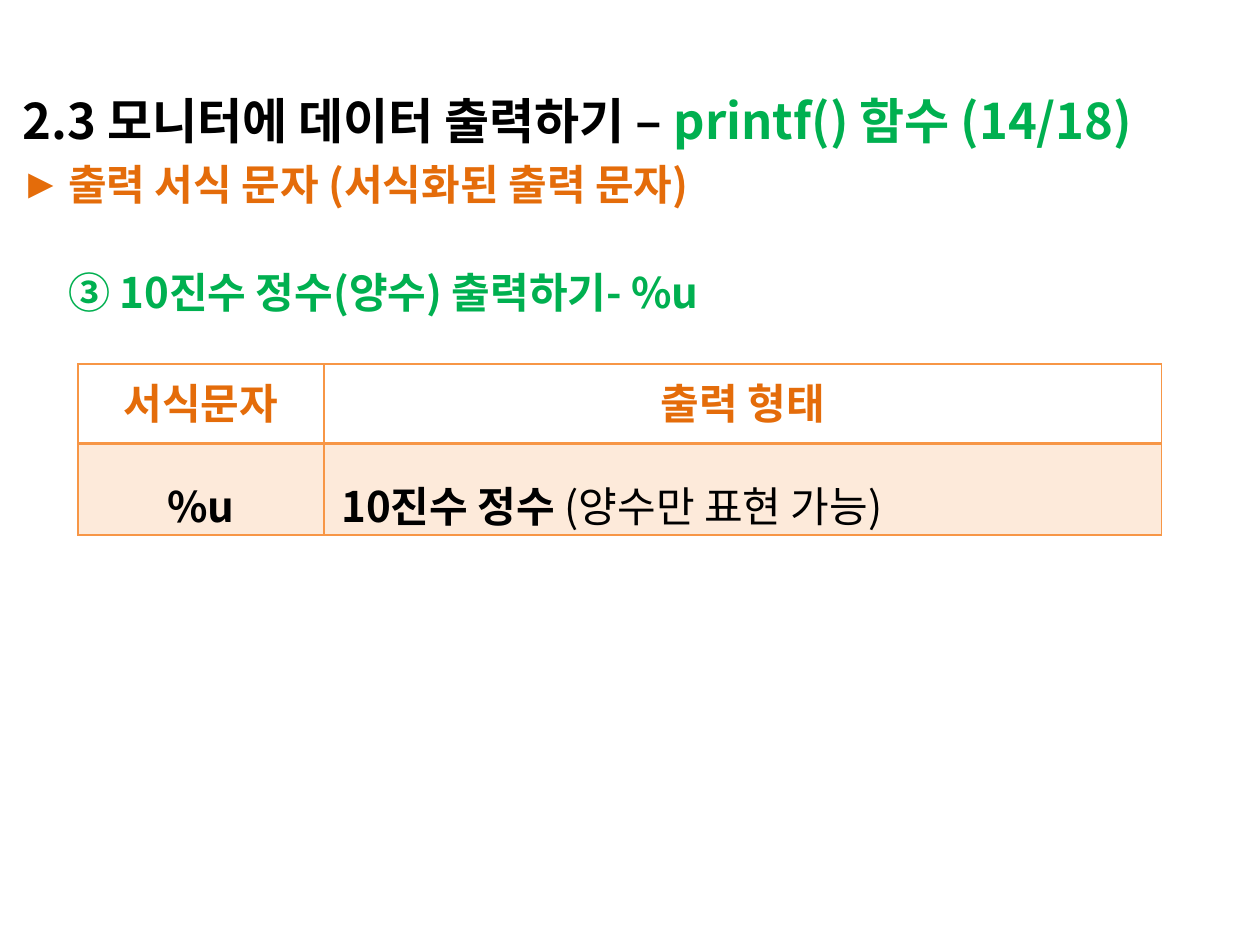
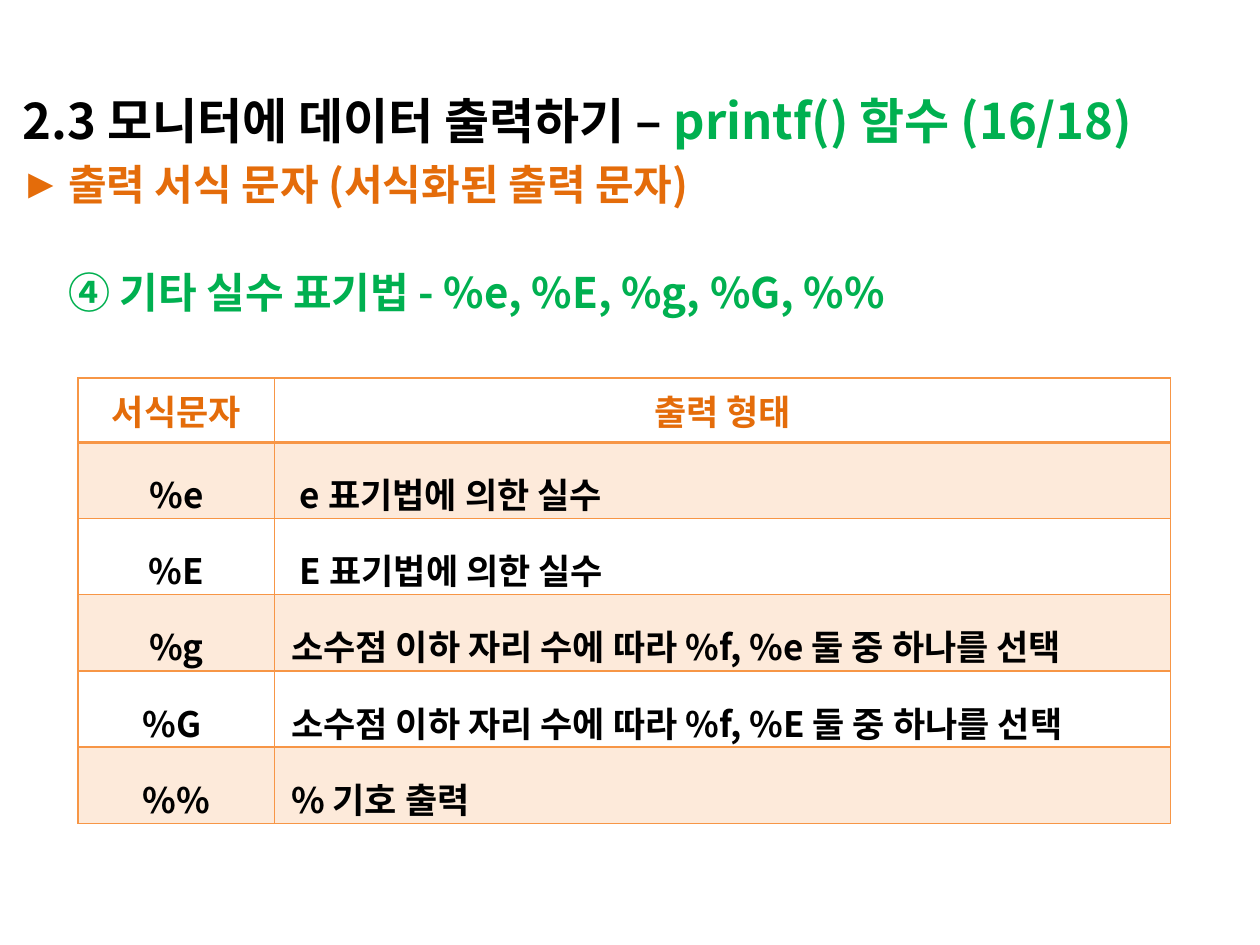
import pptx
import pptx.util
import pptx.dml.color
import pptx.enum.text
import pptx.oxml
import pptx.oxml.ns
from lxml import etree

RGBColor = pptx.dml.color.RGBColor
Pt = pptx.util.Pt
qn = pptx.oxml.ns.qn
ALIGN = pptx.enum.text.PP_ALIGN

BLACK = RGBColor(0x00, 0x00, 0x00)
GREEN = RGBColor(0x00, 0xB0, 0x50)
RUST = RGBColor(0xE4, 0x6C, 0x0A)
PEACH = RGBColor(0xF7, 0x96, 0x46)
FACE = "Noto Sans CJK KR"
COLS, ROWS = 100, 75  # grid over the slide


class Deck:
    def __init__(self):
        self.prs = pptx.Presentation()
        self.prs.slide_width = pptx.util.Inches(10)
        self.prs.slide_height = pptx.util.Inches(7.5)
        self.slide = None

    def x(self, cols):
        return round(self.prs.slide_width * cols / COLS)

    def y(self, rows):
        return round(self.prs.slide_height * rows / ROWS)

    def place(self, shape, col, row, wide, high):
        shape.left, shape.top = self.x(col), self.y(row)
        shape.width, shape.height = self.x(wide), self.y(high)

    def face(self, font, props, size, bold):
        """Set size, weight and the Latin and Korean faces."""
        font.size, font.bold, font.name = Pt(size), bold, FACE
        east = etree.Element(qn("a:ea"), typeface=FACE)
        props.find(".//" + qn("a:latin")).addnext(east)

    def text(self, para, parts, size, align=ALIGN.LEFT):
        """Fill a paragraph from (text, colour, bold) parts."""
        para.alignment = align
        self.face(para.font, para._p.pPr, size, True)
        for words, color, bold in parts:
            run = para.add_run()
            run.text = words
            run.font.color.rgb = color
            # Some viewers skip paragraph fonts, so runs carry them too
            self.face(run.font, run._r, size, bold)

    def page(self, num):
        self.slide = self.prs.slides.add_slide(self.prs.slide_layouts[1])
        title = self.slide.shapes.title
        self.place(title, 0.8, 7.2, 99.2, 4.7)
        frame = title.text_frame
        frame.auto_size = pptx.enum.text.MSO_AUTO_SIZE.NONE
        frame.vertical_anchor = pptx.enum.text.MSO_ANCHOR.MIDDLE
        self.text(frame.paragraphs[0], [
            ("2.3 모니터에 데이터 출력하기 – ", BLACK, True),
            (f"printf() 함수 ({num}/18)", GREEN, True)], 28)

    def body(self, topic):
        box = self.slide.placeholders[1]
        self.place(box, 0.6, 12.5, 99.4, 28.9)
        frame = box.text_frame
        frame.auto_size = pptx.enum.text.MSO_AUTO_SIZE.NONE
        lines = [("출력 서식 문자 (서식화된 출력 문자)", RUST, 0, "►"),
                 (topic, GREEN, 36, None)]
        for i, (words, color, gap, char) in enumerate(lines):
            para = frame.add_paragraph() if i else frame.paragraphs[0]
            self.text(para, [(words, color, True)], 24)
            para.line_spacing, para.space_before = 0.9, Pt(gap)
            self.mark(para, char)

    def mark(self, para, char):
        """Hang the first line on a bullet, or indent without one."""
        props = para._p.get_or_add_pPr()
        inset = self.x(3.8)
        props.set("marL", str(inset))
        props.set("indent", str(-inset if char else 0))
        if char:
            item = etree.Element(qn("a:buChar"), char=char)
        else:
            item = etree.Element(qn("a:buNone"))
        props.find(qn("a:defRPr")).addprevious(item)

    def edge(self, cell, base):
        """Draw the four borders; base is the lower line's width."""
        props = cell._tc.get_or_add_tcPr()
        widths = [("L", 1), ("R", 1), ("T", 1), ("B", base)]
        for i, (side, width) in enumerate(widths):
            line = etree.Element(qn(f"a:ln{side}"), w=str(int(Pt(width))))
            fill = etree.SubElement(line, qn("a:solidFill"))
            etree.SubElement(fill, qn("a:srgbClr"), val=str(PEACH))
            props.insert(i, line)

    def tint(self, cell, on):
        if not on:
            cell.fill.background()
            return
        cell.fill.solid()
        cell.fill.fore_color.rgb = PEACH
        color = cell._tc.tcPr.find(".//" + qn("a:srgbClr"))
        etree.SubElement(color, qn("a:alpha"), val="20000")

    def table(self, top, widths, head, high, size, rows):
        """Rows hold (code, parts, left inset in columns)."""
        total = head + high * len(rows)
        grid = self.slide.shapes.add_table(
            len(rows) + 1, 2, self.x(6.2), self.y(top),
            self.x(sum(widths)), self.y(total)).table
        grid.first_row = grid.horz_banding = False
        for col, width in zip(grid.columns, widths):
            col.width = self.x(width)
        for i, row in enumerate(grid.rows):
            row.height = self.y(high if i else head)

        # Header row
        for cell, words in zip(grid.rows[0].cells, ("서식문자", "출력 형태")):
            self.text(cell.text_frame.paragraphs[0],
                      [(words, RUST, True)], size, ALIGN.CENTER)
            self.tint(cell, False)
            self.edge(cell, 2)

        # Format rows, every other one tinted
        for i, (code, parts, inset) in enumerate(rows, 1):
            cells = [([(code, BLACK, True)], 0.7, ALIGN.CENTER),
                     (parts, inset, ALIGN.LEFT)]
            for cell, (words, left, align) in zip(grid.rows[i].cells, cells):
                cell.margin_left, cell.margin_right = self.x(left), self.x(0.7)
                cell.margin_top = cell.margin_bottom = 0
                para = cell.text_frame.paragraphs[0]
                self.text(para, words, size, align)
                para.line_spacing, para.space_after = 1.5, Pt(9)
                self.tint(cell, i % 2)
                self.edge(cell, 1)


def main():
    deck = Deck()

    # Unsigned integers
    deck.page(14)
    deck.body("③ 10진수 정수(양수) 출력하기- %u")
    deck.table(28.9, (19.5, 66.5), 6.3, 6, 24, [
        ("%u", [("10진수 정수 ", BLACK, True),
                ("(양수만 표현 가능)", BLACK, False)], 1.4)])

    # Other real number formats
    deck.page(16)
    deck.body("④ 기타 실수 표기법 - %e, %E, %g, %G, %%")
    forms = [("%e", "e 표기법에 의한 실수", 2),
             ("%E", "E 표기법에 의한 실수", 2),
             ("%g", "소수점 이하 자리 수에 따라 %f, %e 둘 중 하나를 선택", 1.3),
             ("%G ", "소수점 이하 자리 수에 따라 %f, %E 둘 중 하나를 선택", 1.3),
             ("%%", "% 기호 출력", 1.3)]
    deck.table(30, (15.6, 71.1), 5.1, 5, 20, [
        (code, [(words, BLACK, True)], inset) for code, words, inset in forms])

    deck.prs.save("out.pptx")


if __name__ == "__main__":
    main()
